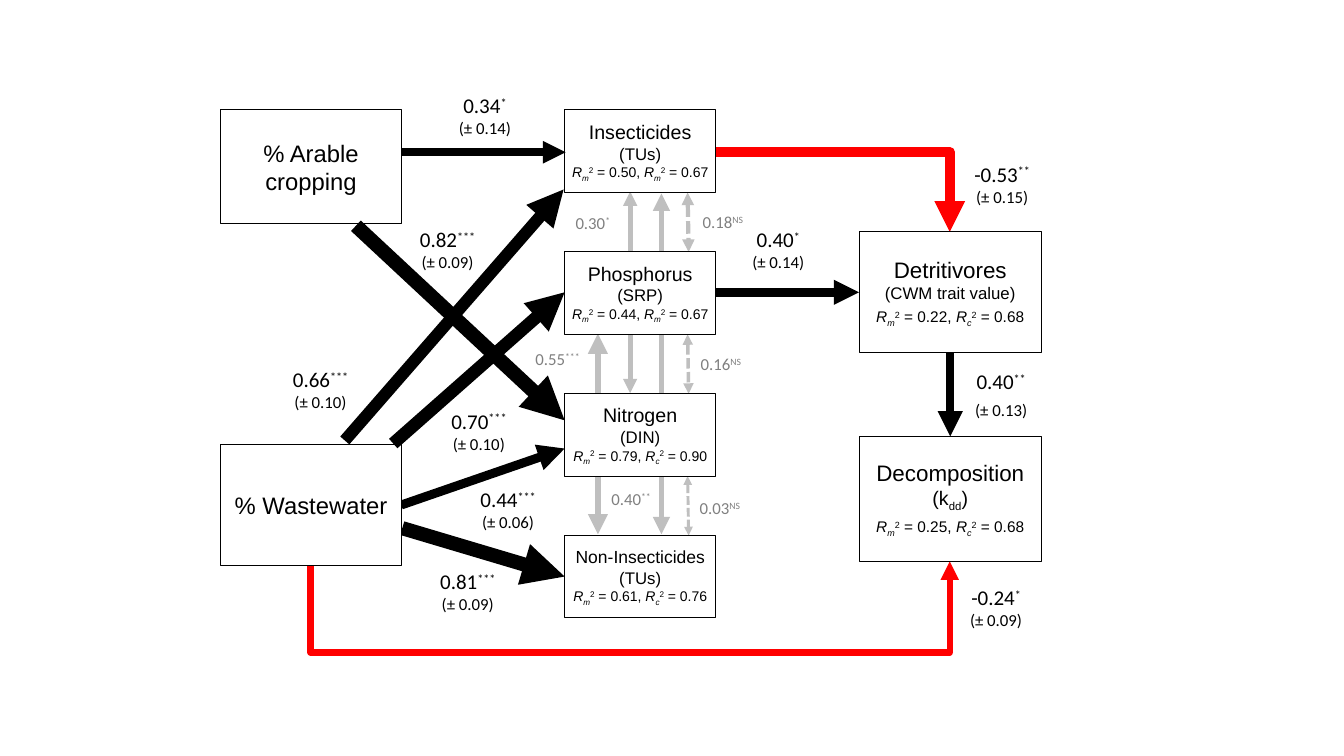
import pptx
import pptx.util
import pptx.dml.color
import pptx.enum.dml
import pptx.enum.shapes
import pptx.enum.text
import pptx.oxml.ns
import pptx.oxml.xmlchemy

Inches = pptx.util.Inches
Pt = pptx.util.Pt
qn = pptx.oxml.ns.qn
make = pptx.oxml.xmlchemy.OxmlElement
KINDS = pptx.enum.shapes.MSO_CONNECTOR
BLACK, RED, GREY, DIM = "000000", "FF0000", "BFBFBF", "808080"


def color(code):
    """Turn a hex string into a colour."""
    return pptx.dml.color.RGBColor.from_string(code)


def write(frame, lines, font, ink=BLACK, inset=0.1):
    """Fill a frame with lines of (size, space before, runs)."""
    frame.word_wrap = True
    frame.margin_left = frame.margin_right = Inches(inset)
    for num, (size, gap, runs) in enumerate(lines):
        para = frame.paragraphs[0] if num == 0 else frame.add_paragraph()
        para.alignment = pptx.enum.text.PP_ALIGN.CENTER
        para.space_before = Pt(gap)
        for text, shift, slant in runs:
            run = para.add_run()
            run.text = text
            run.font.name = font
            run.font.size = Pt(size)
            run.font.italic = slant
            run.font.color.rgb = color(ink)
            if shift:
                run.font._element.set("baseline", str(shift * 1000))


def plain(text):
    """Give the runs of an undecorated line."""
    return [(text, 0, False)]


def fit(first, sub, second):
    """Give the runs of a line with two R squared values."""
    runs = []
    for mark, value in (("m", f" = {first}, "), (sub, f" = {second}")):
        runs += [("R", 0, True), (mark, -25, True), ("2", 30, False), (value, 0, False)]
    return runs


def node(slide, box, lines):
    """Draw a white box with centred lines."""
    rect = slide.shapes.add_shape(
        pptx.enum.shapes.MSO_SHAPE.RECTANGLE, *map(Inches, box))
    rect.shadow.inherit = False
    rect.fill.solid()
    rect.fill.fore_color.rgb = color("FFFFFF")
    rect.line.color.rgb = color(BLACK)
    rect.line.width = Pt(0.75)
    rect.text_frame.vertical_anchor = pptx.enum.text.MSO_ANCHOR.MIDDLE
    write(rect.text_frame, lines, "Arial", inset=0.02)


def label(slide, left, top, value, sign, error=None, gap=0):
    """Write a coefficient, with its error if there is one."""
    wide, high = (0.86, 0.57) if error else (0.86, 0.3)
    area = slide.shapes.add_textbox(*map(Inches, (left, top, wide, high)))
    lines = [(15 if error else 12, 0, [(value, 0, False), (sign, 30, False)])]
    if error:
        lines.append((12, gap, plain(f"(± {error})")))
    write(area.text_frame, lines, "Calibri", BLACK if error else DIM)


def arrow(slide, start, end, width, ink=BLACK, both=False, dash=False,
          kind=KINDS.STRAIGHT):
    """Draw a connector with a triangle at its end."""
    link = slide.shapes.add_connector(kind, *map(Inches, (*start, *end)))
    link.line.color.rgb = color(ink)
    link.line.width = Pt(width)
    if dash:
        link.line.dash_style = pptx.enum.dml.MSO_LINE.SQUARE_DOT
    line = link.line._get_or_add_ln()
    for tag in ("a:headEnd", "a:tailEnd") if both else ("a:tailEnd",):
        tip = make(tag)
        tip.set("type", "triangle")
        line.append(tip)
    link._element.spPr.append(make("a:effectLst"))
    return link


def turn(slide, start, end, width):
    """Draw a red arrow that runs right, then down."""
    link = arrow(slide, start, end, width, RED, kind=KINDS.ELBOW)
    link._element.spPr.find(qn("a:prstGeom")).set("prst", "bentConnector2")


def loop(slide, start, end, drop, width):
    """Draw a red arrow that drops, runs right and rises."""
    mid = [(a + b) / 2 for a, b in zip(start, end)]
    wide, high = start[1] - end[1], end[0] - start[0]
    link = arrow(slide, (mid[0] + wide / 2, mid[1] + high / 2),
                 (mid[0] - wide / 2, mid[1] - high / 2), width, RED, kind=KINDS.ELBOW)
    link._element.spPr.find(qn("a:xfrm")).set("rot", "5400000")
    guides = link._element.spPr.find(qn("a:prstGeom")).get_or_add_avLst()
    guide = make("a:gd")
    guide.set("name", "adj1")
    guide.set("fmla", f"val {round(-drop / wide * 100000)}")
    guides.append(guide)


def drivers(slide, box):
    """Place the two land use boxes."""
    left, top, wide, high = box
    node(slide, (left, top, wide, 1.13), [(17, 0, plain("% Arable cropping"))])
    node(slide, (left, top + high - 1.2, wide, 1.2), [(17, 0, plain("% Wastewater"))])


def stress(slide, box):
    """Place the four stressors and their grey correlations."""
    left, top, wide, high = box
    tall = 0.82
    step = (high - tall) / 3
    for shift, begin, end, width in (
            (0.33, 2.22, 4.21, 4.8), (0.96, 0.83, 4.21, 4.1), (0.65, 0.81, 2.81, 3.4)):
        arrow(slide, (left + shift, top + begin), (left + shift, top + end),
              width, GREY, both=True)
    for num, width in enumerate((3, 2.5, 2.1)):
        edge = top + tall + num * step
        arrow(slide, (left + 1.22, edge), (left + 1.23, edge + 0.59),
              width, GREY, both=True, dash=True)
    for num, (name, size, unit, *values) in enumerate((
            ("Insecticides", 14, "(TUs)", "0.50", "m", "0.67"),
            ("Phosphorus", 14, "(SRP)", "0.44", "m", "0.67"),
            ("Nitrogen", 14, "(DIN)", "0.79", "c", "0.90"),
            ("Non-Insecticides", 12.5, "(TUs)", "0.61", "c", "0.76"))):
        node(slide, (left, top + num * step, wide, tall), [
            (size, 0, plain(name)), (12, 0, plain(unit)), (10, 0, fit(*values))])
    for shift, drop, value, sign in (
            (-0.15, 0.97, "0.30", "*"), (1.14, 0.96, "0.18", "NS"),
            (-0.5, 2.32, "0.55", "***"), (1.12, 2.37, "0.16", "NS"),
            (0.23, 3.71, "0.40", "**"), (1.11, 3.8, "0.03", "NS")):
        label(slide, left + shift, top + drop, value, sign)


def biota(slide, box):
    """Place the two responses and the arrow between them."""
    left, top, wide, high = box
    mid = left + wide / 2
    node(slide, (left, top, wide, 1.2), [
        (16, 0, plain("Detritivores")), (12, 0, plain("(CWM trait value)")),
        (11, 3, fit("0.22", "c", "0.68"))])
    node(slide, (left, top + high - 1.24, wide, 1.24), [
        (16, 0, plain("Decomposition")),
        (14, 0, [("(k", 0, False), ("dd", -25, False), (")", 0, False)]),
        (11, 3, fit("0.25", "c", "0.68"))])
    arrow(slide, (mid, top + 1.2), (mid, top + high - 1.24), 6)
    label(slide, left + 0.98, top + 1.31, "0.40", "**", "0.13", 4)


def bends(slide, box):
    """Draw the two red arrows with their labels."""
    left, top, wide, high = box
    right, base = left + wide, top + 4.1
    turn(slide, (left + 4.02, top), (right, top + 0.79), 7.3)
    label(slide, right + 0.09, top + 0.04, "-0.53", "**", "0.15")
    loop(slide, (left, base), (right, base - 0.04), top + high - base, 4.4)
    label(slide, right + 0.03, base + 0.14, "-0.24", "*", "0.09")


def paths(slide, box, rows):
    """Draw black arrows with their labels, measured from the box corner."""
    left, top = box[:2]
    for (x, y), (far, low), width, (over, down), *words in rows:
        arrow(slide, (left + x, top + y), (left + far, top + low), width)
        label(slide, left + over, top + down, *words)


def main():
    """Build the path diagram."""
    deck = pptx.Presentation()
    deck.slide_width, deck.slide_height = Inches(13.33), Inches(7.5)
    slide = deck.slides.add_slide(deck.slide_layouts[6])
    stress(slide, (5.6, 1.09, 1.5, 5.04))
    bends(slide, (3.08, 1.51, 6.34, 4.96))
    area = (2.19, 1.09, 6.33, 5.04)
    paths(slide, area, [
        ((1.78, 0.42), (3.42, 0.42), 5.4, (2.19, -0.22), "0.34", "*", "0.14"),
        ((1.8, 4.15), (3.41, 4.63), 10.1, (2.02, 4.5), "0.81", "***", "0.09"),
        ((1.79, 3.92), (3.41, 3.36), 6.4, (2.42, 3.69), "0.44", "***", "0.06"),
        ((1.23, 3.28), (3.4, 0.79), 8.6, (0.56, 2.5), "0.66", "***", "0.10"),
        ((4.91, 1.81), (6.33, 1.81), 6, (5.1, 1.11), "0.40", "*", "0.14")])
    drivers(slide, (2.19, 1.09, 1.79, 4.52))
    paths(slide, area, [
        ((1.71, 3.31), (3.41, 1.81), 9, (2.13, 2.91), "0.70", "***", "0.10"),
        ((1.34, 1.15), (3.41, 3.08), 10.2, (1.82, 1.11), "0.82", "***", "0.09")])
    biota(slide, (8.52, 2.3, 1.81, 3.27))
    deck.save("out.pptx")


main()
